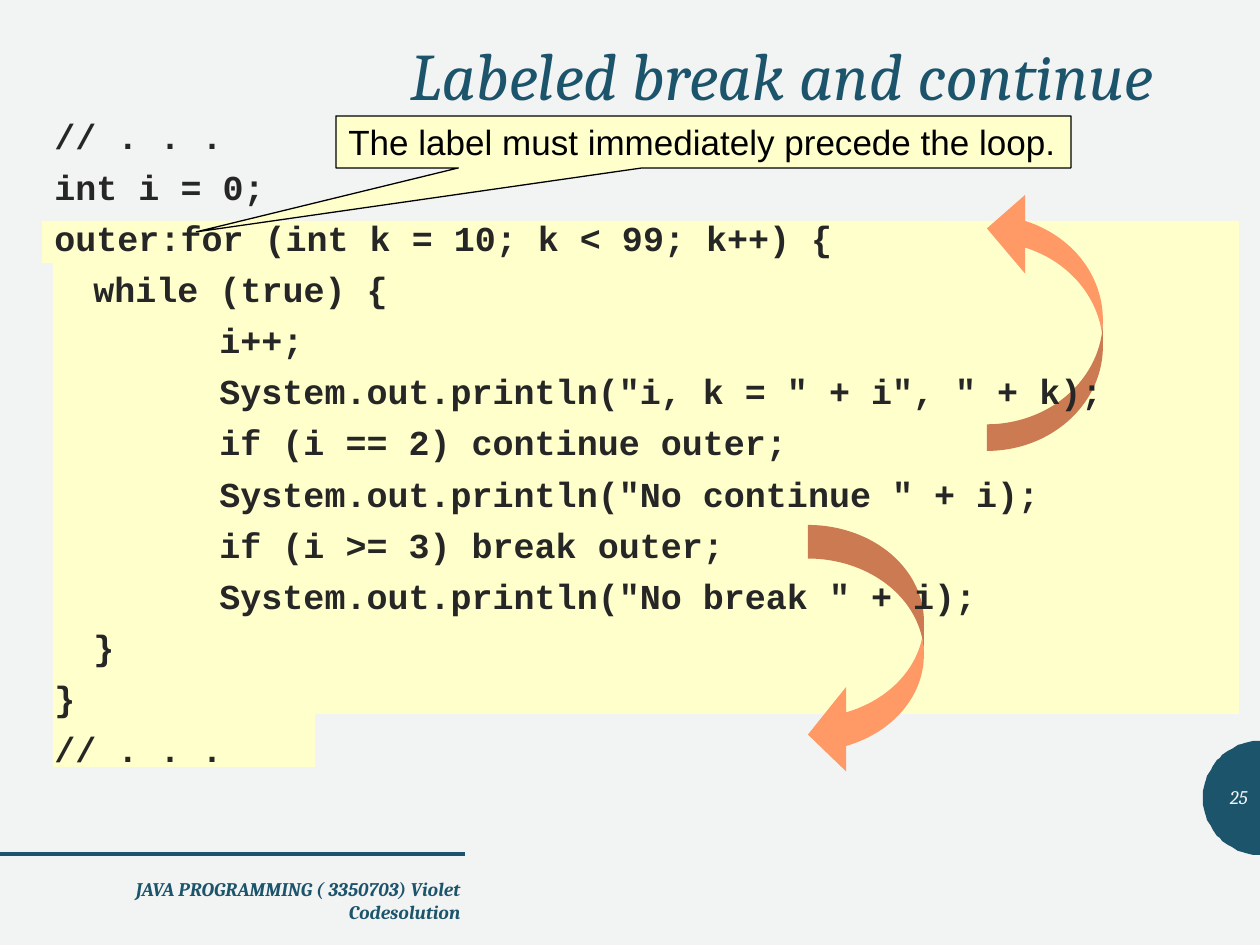
"""Build the slide on labeled break and continue."""
from math import cos, pi, sin

from lxml import etree
from pptx import Presentation
from pptx.dml.color import RGBColor
from pptx.enum.shapes import MSO_CONNECTOR, MSO_SHAPE
from pptx.enum.text import MSO_ANCHOR, PP_ALIGN
from pptx.oxml.ns import qn
from pptx.util import Pt

PX = 914400 // 126
RECT, CALL, CURVE = (MSO_SHAPE.RECTANGLE, MSO_SHAPE.RECTANGULAR_CALLOUT,
                     MSO_SHAPE.CURVED_LEFT_ARROW)
LINE = MSO_CONNECTOR.STRAIGHT
LEFT, RIGHT = PP_ALIGN.LEFT, PP_ALIGN.RIGHT
TOP, MID = MSO_ANCHOR.TOP, MSO_ANCHOR.MIDDLE

HUE = {"back": "F2F3F3", "teal": "1C546B", "dark": "262626",
       "pale": "FFFFCC", "coral": "FF9966", "black": "000000"}
TITLE = "Labeled break and continue"
NOTE = "The label must immediately precede the loop."
FOOT = "JAVA PROGRAMMING ( 3350703) Violet Codesolution"
PAGE = "25"
CODE = [
    (0, "// . . ."),
    (0, "int i = 0;"),
    (0, "outer:for (int k = 10; k < 99; k++) {"),
    (1, "while (true) {"),
    (2, "i++;"),
    (2, 'System.out.println("i, k = " + i", " + k);'),
    (2, "if (i == 2) continue outer;"),
    (2, 'System.out.println("No continue " + i);'),
    (2, "if (i >= 3) break outer;"),
    (2, 'System.out.println("No break " + i);'),
    (1, "}"),
    (0, "}"),
    (0, "// . . ."),
]
INDENT = (0, 39, 165)
BANDS = [(53, 221, 1186, 493), (73, 273, 1166, 388), (42, 221, 157, 42),
         (53, 714, 262, 53), (210, 221, 735, 42), (483, 525, 305, 42),
         (473, 420, 388, 42)]
ARROWS = [((808, 525, 116, 252), (0.29, 0.73, 0.33), False),
          ((987, 189, 116, 262), (0.23, 0.68, 0.33), True)]
RULES = ["dark", "teal"]
DISC = (1260, 798, 57)


def tone(name):
    return RGBColor.from_string(HUE[name])


def emu(box):
    return [n * PX for n in box]


def paint(shape, fill, line=None):
    shape.shadow.inherit = False
    shape.fill.solid()
    shape.fill.fore_color.rgb = tone(fill)
    if line:
        shape.line.color.rgb = tone(line)
        shape.line.width = Pt(0.75)
    else:
        shape.line.fill.background()
    return shape


def write(shape, rows, font="Cambria", size=11, hue="teal", bold=False,
          slant=False, align=LEFT, anchor=TOP, wrap=True, gap=0, lead=None):
    frame = shape.text_frame
    frame.word_wrap = wrap
    frame.vertical_anchor = anchor
    for i, (depth, text) in enumerate(rows):
        para = frame.add_paragraph() if i else frame.paragraphs[0]
        para.alignment = align
        para.space_before = Pt(gap)
        para.line_spacing = lead
        if depth:
            para._p.get_or_add_pPr().set("marL", str(INDENT[depth] * PX))
        run = para.add_run()
        run.text = text
        run.font.name, run.font.size = font, Pt(size)
        run.font.bold, run.font.italic = bold, slant
        run.font.color.rgb = tone(hue)


def main():
    deck = Presentation()
    deck.slide_width, deck.slide_height = emu((1260, 945))
    slide = deck.slides.add_slide(deck.slide_layouts[5])
    slide.background.fill.solid()
    slide.background.fill.fore_color.rgb = tone("back")
    shapes = slide.shapes

    head = shapes.title
    head.left, head.top, head.width, head.height = emu((95, 42, 1071, 73))
    write(head, [(0, TITLE)], size=38, slant=True, align=RIGHT, anchor=MID,
          lead=0.9)

    x, y, r = DISC
    arc = [(x - r * sin(pi * i / 48), y - r * cos(pi * i / 48))
           for i in range(49)]
    pen = shapes.build_freeform(*arc[0], scale=PX)
    pen.add_line_segments(arc[1:], close=True)
    paint(pen.convert_to_shape(), "teal")

    for hue in RULES:
        rule = shapes.add_connector(LINE, *emu((0, 854, 465, 854)))
        rule.line.color.rgb = tone(hue)
        rule.line.width = Pt(2)
        etree.SubElement(rule._element.spPr, qn("a:effectLst"))

    for box in BANDS:
        paint(shapes.add_shape(RECT, *emu(box)), "pale")

    for box, adj, flip in ARROWS:
        arrow = paint(shapes.add_shape(CURVE, *emu(box)), "coral")
        for i, val in enumerate(adj):
            arrow.adjustments[i] = val
        if flip:
            arrow._element.spPr.get_or_add_xfrm().set("flipV", "1")

    code = shapes.add_textbox(*emu((42, 116, 1218, 661)))
    write(code, CODE, font="Courier New", size=20, hue="dark", bold=True,
          gap=10, lead=0.8)

    note = paint(shapes.add_shape(CALL, *emu((336, 116, 735, 52))),
                 "pale", "black")
    note.adjustments[0], note.adjustments[1] = -0.69, 1.73
    write(note, [(0, NOTE)], font="Arial", size=20, hue="black", anchor=MID,
          wrap=False)

    foot = shapes.add_textbox(*emu((79, 871, 394, 50)))
    write(foot, [(0, FOOT)], bold=True, slant=True, align=RIGHT, gap=2.8)
    page = shapes.add_textbox(*emu((1203, 772, 57, 50)))
    write(page, [(0, PAGE)], hue="back", slant=True, align=RIGHT, anchor=MID,
          gap=2.8)

    deck.save("out.pptx")


if __name__ == "__main__":
    main()
